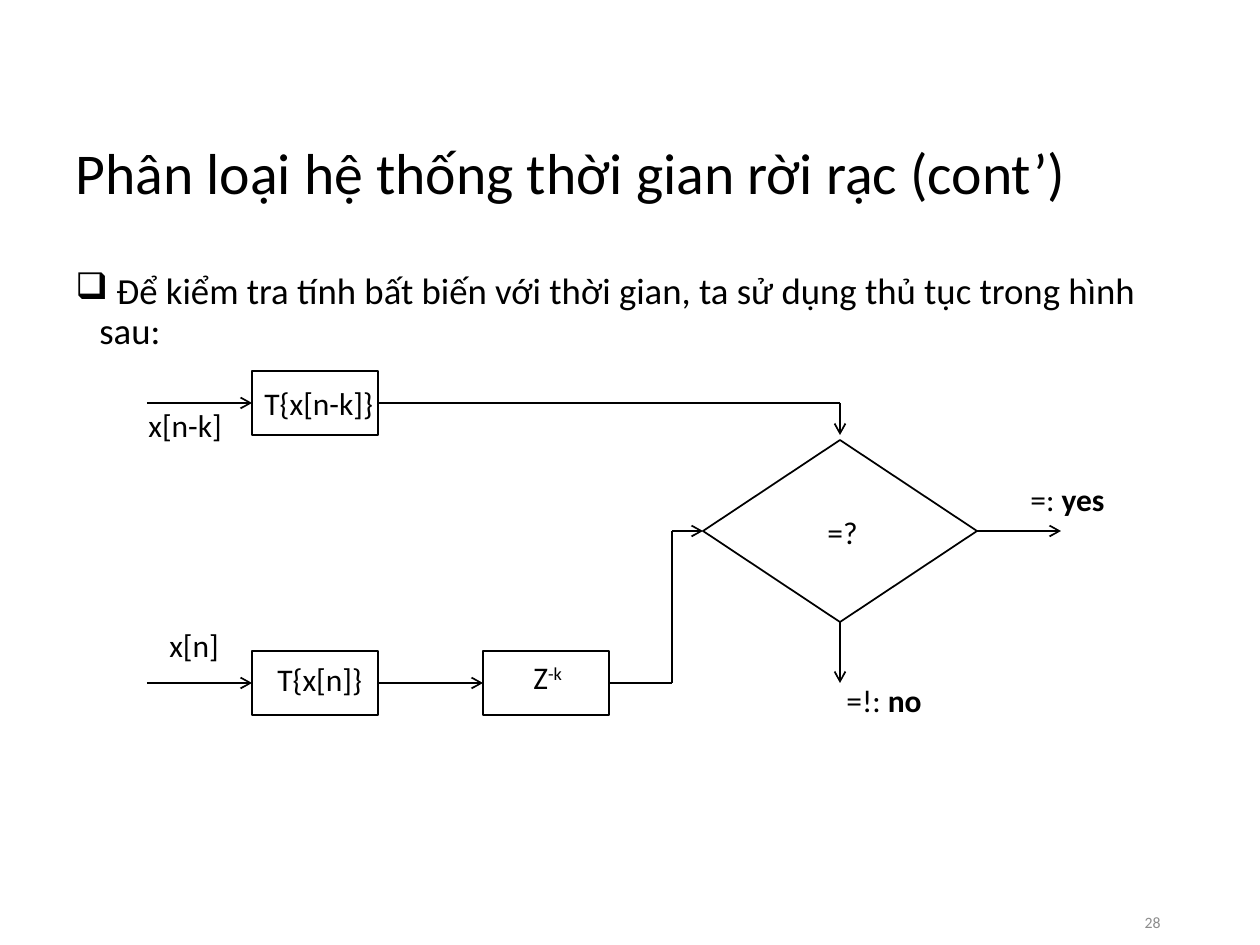
from itertools import pairwise

from lxml import etree
from pptx import Presentation
from pptx import util as u
from pptx.dml.color import RGBColor
from pptx.enum import shapes, text
from pptx.oxml.ns import qn

PX = 914400 / 126
FONT = "Calibri"
COLORS = {"ink": "000000", "number": "8C8C8C"}


def px(value):
    return u.Emu(round(value * PX))


def color(name):
    return RGBColor.from_string(COLORS[name])


def style(para, size, ink="ink", align=text.PP_ALIGN.LEFT):
    para.alignment = align
    para.font.name = FONT
    para.font.size = u.Pt(size)
    para.font.color.rgb = color(ink)


def add_title(page, words):
    title = page.shapes.title
    title.left, title.top, title.width, title.height = map(px, (63, 97, 1134, 158))
    frame = title.text_frame
    frame.text = words
    frame.auto_size = text.MSO_AUTO_SIZE.NONE
    frame.vertical_anchor = text.MSO_ANCHOR.MIDDLE
    frame.paragraphs[0].line_spacing = 0.9
    style(frame.paragraphs[0], 33)


def add_text(page, area, words):
    frame = page.shapes.add_textbox(*map(px, area)).text_frame
    frame.word_wrap = True
    frame.text = words
    return frame


def add_bullet(page, words):
    para = add_text(page, (63, 267, 1134, 605), words).paragraphs[0]
    para.line_spacing = 0.9
    para.space_before = u.Pt(7.5)
    properties = para._p.get_or_add_pPr()
    properties.set("marL", str(px(24)))
    properties.set("indent", str(px(-24)))
    etree.SubElement(properties, qn("a:buChar"), char="❑")
    style(para, 21)


def add_number(page, words):
    frame = add_text(page, (890, 900, 283, 45), words)
    frame.vertical_anchor = text.MSO_ANCHOR.MIDDLE
    style(frame.paragraphs[0], 9, "number", text.PP_ALIGN.RIGHT)


def add_label(page, area, words, bold="", superscript=""):
    frame = add_text(page, (*area, 50), words)
    frame.word_wrap = False
    frame.auto_size = text.MSO_AUTO_SIZE.SHAPE_TO_FIT_TEXT
    para = frame.paragraphs[0]
    style(para, 18)
    if bold:
        span = para.add_run()
        span.text = bold
        span.font.bold = True
    if superscript:
        span = para.add_run()
        span.text = superscript
        span._r.get_or_add_rPr().set("baseline", "30000")


def add_block(page, kind, area):
    block = page.shapes.add_shape(kind, *map(px, area))
    block.shadow.inherit = False
    block.fill.background()
    block.line.color.rgb = color("ink")
    block.line.width = u.Pt(1)
    return block


def add_route(page, points, source=None, target=None, arrow=True):
    lines = []
    for start, end in pairwise(points):
        line = page.shapes.add_connector(
            shapes.MSO_CONNECTOR.STRAIGHT, *map(px, (*start, *end)))
        line.line.color.rgb = color("ink")
        line.line.width = u.Pt(1)
        etree.SubElement(line._element.spPr, qn("a:effectLst"))
        lines.append(line)
    if source:
        lines[0].begin_connect(*source)
    if target:
        lines[-1].end_connect(*target)
    if arrow:
        etree.SubElement(lines[-1].line._get_or_add_ln(), qn("a:tailEnd"), type="arrow")


def main():
    deck = Presentation()
    deck.slide_width, deck.slide_height = px(1260), px(945)
    page = deck.slides.add_slide(deck.slide_layouts[5])

    add_title(page, "Phân loại hệ thống thời gian rời rạc (cont’)")
    add_bullet(page, " Để kiểm tra tính bất biến với thời gian, ta sử dụng thủ tục trong hình sau:")
    add_number(page, "28")

    shifted, system, delay = [
        add_block(page, shapes.MSO_SHAPE.RECTANGLE, (left, top, 126, 64))
        for left, top in ((252, 371), (252, 651), (483, 651))]
    decision = add_block(page, shapes.MSO_SHAPE.DIAMOND, (703, 440, 274, 182))

    add_route(page, [(147, 403), (252, 403)], target=(shifted, 1))
    add_route(page, [(378, 403), (840, 403), (840, 435)], source=(shifted, 3))
    add_route(page, [(147, 683), (252, 683)], target=(system, 1))
    add_route(page, [(378, 683), (483, 683)], (system, 3), (delay, 1))
    add_route(page, [(609, 683), (672, 683), (672, 531), (703, 531)],
              (delay, 3), (decision, 1))
    add_route(page, [(977, 531), (1061, 531)], source=(decision, 3))
    add_route(page, [(840, 622), (840, 683)], source=(decision, 2))

    add_label(page, (136, 400, 99), "x[n-k]")
    add_label(page, (252, 378, 135), "T{x[n-k]}")
    add_label(page, (157, 620, 76), "x[n]")
    add_label(page, (265, 654, 111), "T{x[n]}")
    add_label(page, (521, 652, 57), "Z", superscript="-k")
    add_label(page, (815, 507, 57), "=?")
    add_label(page, (1018, 474, 100), "=: ", bold="yes")
    add_label(page, (834, 675, 101), "=!: ", bold="no")

    deck.save("out.pptx")


if __name__ == "__main__":
    main()
